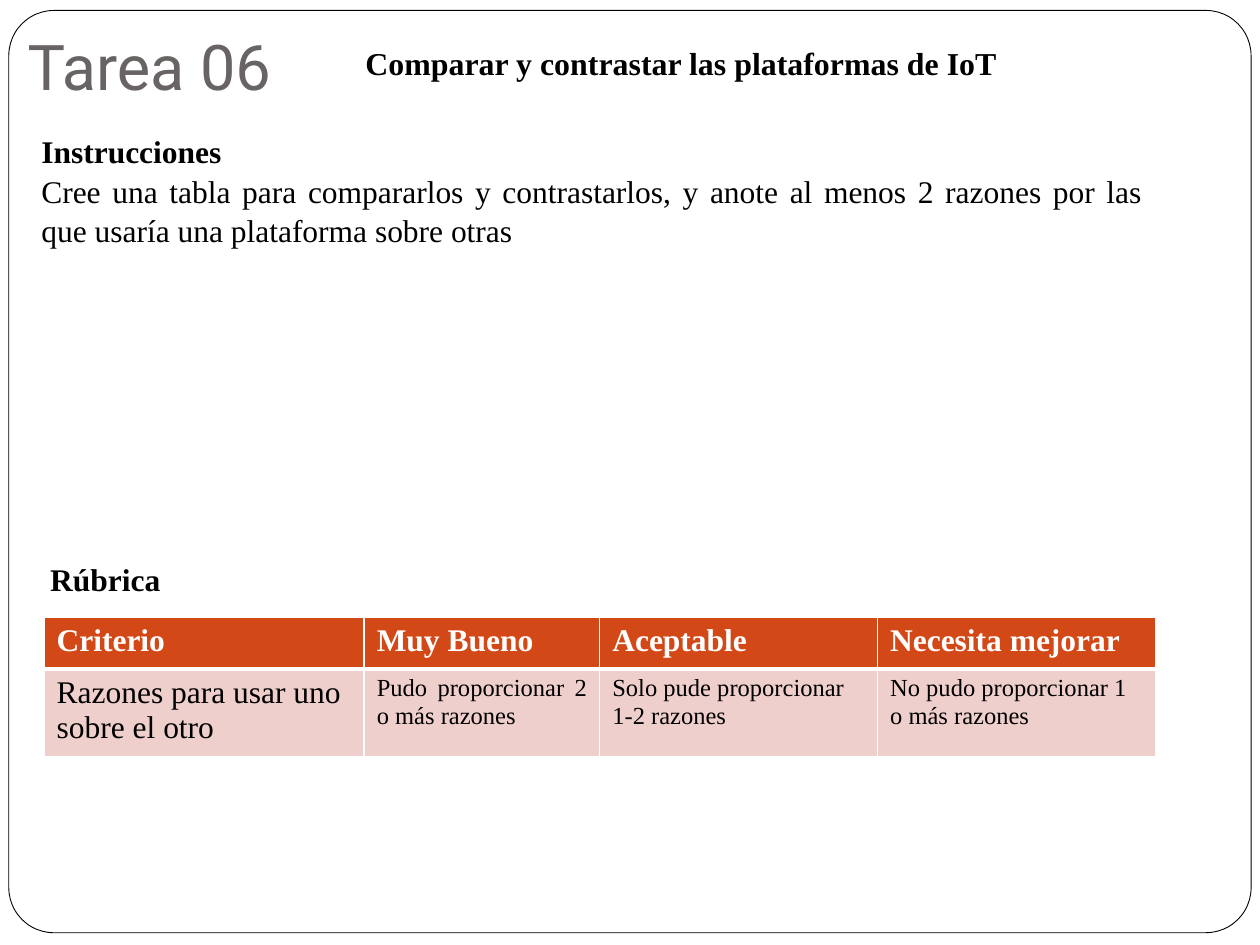
from dataclasses import dataclass

from lxml import etree
from pptx import Presentation
from pptx.dml.color import RGBColor
from pptx.enum.shapes import MSO_SHAPE
from pptx.enum.text import MSO_ANCHOR, MSO_AUTO_SIZE, PP_ALIGN
from pptx.oxml.ns import qn
from pptx.util import Inches, Pt

ROUNDED = MSO_SHAPE.ROUNDED_RECTANGLE
BOTTOM, TOP = MSO_ANCHOR.BOTTOM, MSO_ANCHOR.TOP
LEFT, JUSTIFY = PP_ALIGN.LEFT, PP_ALIGN.JUSTIFY
NO_AUTOFIT = MSO_AUTO_SIZE.NONE
FIT_SHAPE = MSO_AUTO_SIZE.SHAPE_TO_FIT_TEXT


@dataclass(frozen=True)
class Theme:
    title_font: str = "Roboto"
    text_font: str = "Times New Roman"
    title_size: float = 36
    subtitle_size: float = 18.2
    text_size: float = 18
    small_size: float = 14
    line_spacing: float = 1.05
    black: str = "000000"
    white: str = "FFFFFF"
    grey: str = "696464"
    accent: str = "D34817"
    tint: str = "EFCFCC"


THEME = Theme()
HEADINGS = ["Criterio", "Muy Bueno", "Aceptable", "Necesita mejorar"]
CRITERIA = [
    "Razones para usar uno sobre el otro",
    "Pudo proporcionar 2 o más razones",
    "Solo pude proporcionar 1-2 razones",
    "No pudo proporcionar 1 o más razones",
]
COLUMN_SHARES = [0.288, 0.212, 0.25, 0.25]
ROW_SHARES = [0.37, 0.63]


def color(value):
    return RGBColor.from_string(value)


def place(shape, box):
    shape.left, shape.top, shape.width, shape.height = map(Inches, box)


def style(paragraph, size=THEME.text_size, bold=False, fill=THEME.black,
          name=THEME.text_font, align=LEFT):
    paragraph.alignment = align
    font = paragraph.font
    font.name, font.size, font.bold = name, Pt(size), bold
    font.color.rgb = color(fill)


def add_frame(slide, box):
    frame = slide.shapes.add_shape(ROUNDED, *map(Inches, box))
    frame.adjustments[0] = 0.049
    frame.shadow.inherit = False
    frame.fill.solid()
    frame.fill.fore_color.rgb = color(THEME.white)
    frame.line.color.rgb = color(THEME.black)
    frame.line.width = Pt(0.5)
    # Behind the placeholders, right after the two group property elements
    frame.element.getparent().insert(2, frame.element)


def fill_title(slide, box):
    title = slide.shapes.title
    place(title, box)
    text_frame = title.text_frame
    text_frame.text = "Tarea 06"
    text_frame.vertical_anchor = BOTTOM
    text_frame.auto_size = NO_AUTOFIT
    text_frame.margin_bottom = Inches(0.1)
    style(text_frame.paragraphs[0], THEME.title_size, fill=THEME.grey,
          name=THEME.title_font)


def fill_subtitle(slide, box):
    body = slide.placeholders[1]
    place(body, box)
    text_frame = body.text_frame
    text_frame.text = "Comparar y contrastar las plataformas de IoT"
    text_frame.vertical_anchor = TOP
    text_frame.auto_size = NO_AUTOFIT
    paragraph = text_frame.paragraphs[0]
    style(paragraph, THEME.subtitle_size, bold=True, align=JUSTIFY)
    paragraph.space_before = Pt(5.8)
    properties = paragraph._p.get_or_add_pPr()
    properties.set("marL", "0")
    properties.set("indent", "0")
    bullet = etree.Element(qn("a:buNone"))
    properties.find(qn("a:spcBef")).addnext(bullet)


def add_section(slide, box, heading, text=None):
    text_frame = slide.shapes.add_textbox(*map(Inches, box)).text_frame
    text_frame.word_wrap = True
    text_frame.auto_size = FIT_SHAPE
    text_frame.text = heading
    style(text_frame.paragraphs[0], bold=True)
    if text:
        paragraph = text_frame.add_paragraph()
        paragraph.text = text
        style(paragraph, align=JUSTIFY)
    for paragraph in text_frame.paragraphs:
        paragraph.line_spacing = THEME.line_spacing


def set_borders(cell, top=1, bottom=1):
    properties = cell._tc.get_or_add_tcPr()
    widths = {"lnL": 1, "lnR": 1, "lnT": top, "lnB": bottom}
    for index, (side, width) in enumerate(widths.items()):
        line = etree.Element(qn(f"a:{side}"), w=str(Pt(width)))
        solid = etree.SubElement(line, qn("a:solidFill"))
        etree.SubElement(solid, qn("a:srgbClr"), val=THEME.white)
        properties.insert(index, line)


def fill_cell(cell, text, background, **text_style):
    cell.text = text
    cell.fill.solid()
    cell.fill.fore_color.rgb = color(background)
    style(cell.text_frame.paragraphs[0], **text_style)


def add_rubric(slide, box):
    table = slide.shapes.add_table(
        len(ROW_SHARES), len(COLUMN_SHARES), *map(Inches, box)).table
    for column, share in zip(table.columns, COLUMN_SHARES):
        column.width = Inches(box[2] * share)
    for row, share in zip(table.rows, ROW_SHARES):
        row.height = Inches(box[3] * share)
    for index, (heading, criterion) in enumerate(zip(HEADINGS, CRITERIA)):
        header, cell = table.cell(0, index), table.cell(1, index)
        fill_cell(header, heading, THEME.accent, bold=True, fill=THEME.white)
        fill_cell(cell, criterion, THEME.tint,
                  size=THEME.small_size if index else THEME.text_size,
                  align=JUSTIFY if index == 1 else LEFT)
        set_borders(header, bottom=3)
        set_borders(cell, top=3)


def build_task_slide(presentation, width, height):
    def region(left, top, across, down):
        """Turn shares of the slide into a box in inches."""
        return left * width, top * height, across * width, down * height

    slide = presentation.slides.add_slide(presentation.slide_layouts[1])
    add_frame(slide, region(0.007, 0.011, 0.986, 0.976))
    fill_title(slide, region(0.012, 0.027, 0.85, 0.096))
    fill_subtitle(slide, region(0.28, 0.04, 0.531, 0.068))
    add_section(
        slide, region(0.023, 0.131, 0.894, 0.135), "Instrucciones",
        "Cree una tabla para compararlos y contrastarlos, y anote al menos "
        "2 razones por las que usaría una plataforma sobre otras")
    add_rubric(slide, region(0.035, 0.653, 0.882, 0.148))
    add_section(slide, region(0.03, 0.584, 0.5, 0.053), "Rúbrica")


def main():
    width, height = 10, 7.5
    presentation = Presentation()
    presentation.slide_width = Inches(width)
    presentation.slide_height = Inches(height)
    build_task_slide(presentation, width, height)
    presentation.save("out.pptx")


if __name__ == "__main__":
    main()
